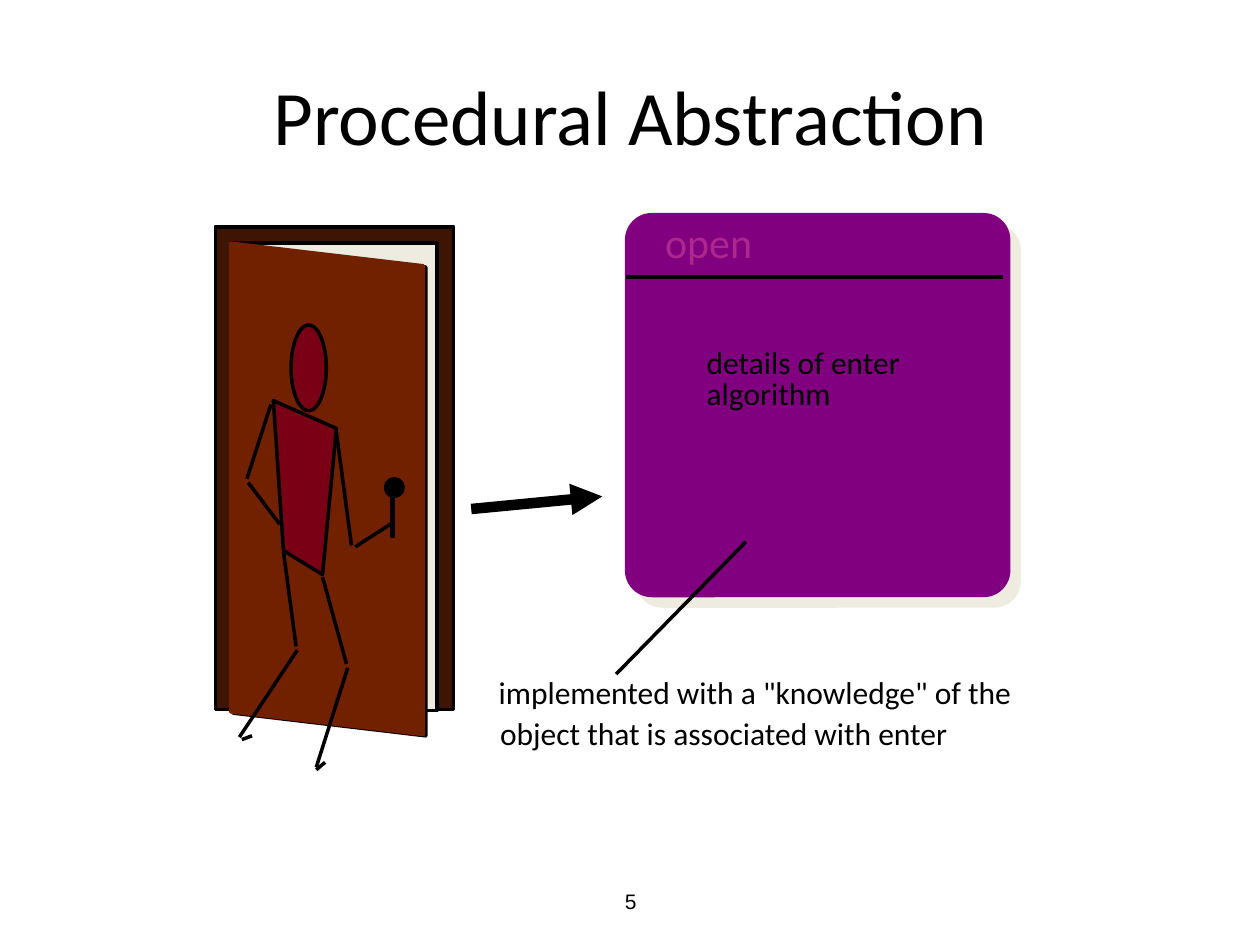
from lxml import etree
from pptx import Presentation
from pptx.dml.color import RGBColor
from pptx.enum.shapes import MSO_CONNECTOR, MSO_SHAPE
from pptx.enum.text import MSO_ANCHOR, PP_ALIGN
from pptx.oxml import parse_xml
from pptx.oxml.ns import nsdecls, qn
from pptx.util import Inches, Pt

RECT, OVAL, ROUNDED = MSO_SHAPE.RECTANGLE, MSO_SHAPE.OVAL, MSO_SHAPE.ROUNDED_RECTANGLE
STRAIGHT = MSO_CONNECTOR.STRAIGHT
CENTER, LEFT, MIDDLE = PP_ALIGN.CENTER, PP_ALIGN.LEFT, MSO_ANCHOR.MIDDLE

COLORS = {
    "black": "000000", "frame": "3E1403", "opening": "EEECE1", "door": "712000",
    "person": "790015", "card": "800080", "heading": "AD278D",
}
RGB = {name: RGBColor.from_string(value) for name, value in COLORS.items()}


def paint(sp, fill=None, line=None):
    sp.shadow.inherit = False
    if fill:
        sp.fill.solid()
        sp.fill.fore_color.rgb = RGB[fill]
    else:
        sp.fill.background()
    if line:
        sp.line.color.rgb = RGB[line]
        sp.line.width = Pt(2)
    else:
        sp.line.fill.background()


def add_line(x1, y1, x2, y2, width=2):
    line = s.shapes.add_connector(STRAIGHT, Inches(x1), Inches(y1), Inches(x2), Inches(y2))
    line.line.color.rgb = RGB["black"]
    line.line.width = Pt(width)
    etree.SubElement(line._element.spPr, qn("a:effectLst"))
    return line


prs = Presentation()
prs.slide_width, prs.slide_height = Inches(10), Inches(7.5)
s = prs.slides.add_slide(prs.slide_layouts[5])

# Title
title = s.shapes.title
title.left, title.top, title.width, title.height = map(Inches, (2.07, 0.51, 5.87, 0.8))
tf = title.text_frame
tf.text = "Procedural Abstraction"
tf.word_wrap = False
tf.vertical_anchor = MIDDLE
tf.margin_left = tf.margin_right = Inches(0.07)
tf.margin_top = tf.margin_bottom = Inches(0.03)
p = tf.paragraphs[0]
p.alignment = CENTER
p.font.size, p.font.name = Pt(44), "Calibri"
p.font.color.rgb = RGB["black"]

# Arrow from the door to the procedure
arrow = add_line(3.74, 4.04, 4.78, 3.94, 6)
etree.SubElement(arrow.line._get_or_add_ln(), qn("a:tailEnd"), type="triangle")

# Door frame, opening, door, handle and the person
DOOR = [(0, 0), (1.53, 0.18), (1.53, 3.9), (0, 3.72)]
TORSO = [(2.17, 3.18), (2.67, 3.4), (2.56, 4.56), (2.25, 4.37)]
for kind, box, fill in [
    (RECT, (1.71, 1.8, 1.89, 3.83), "frame"),
    (RECT, (1.83, 1.93, 1.64, 3.71), "opening"),
    ("door", (1.85, 1.94), None),
    ("door", (1.83, 1.93), "door"),
    (OVAL, (3.06, 3.8, 0.14, 0.14), "black"),
    (RECT, (3.11, 3.93, 0.01, 0.33), "black"),
    (OVAL, (2.31, 2.58, 0.28, 0.68), "person"),
    ("torso", (0, 0), "person"),
]:
    if kind in ("door", "torso"):
        points = [(Inches(box[0] + x), Inches(box[1] + y))
                  for x, y in (DOOR if kind == "door" else TORSO)]
        builder = s.shapes.build_freeform(*points[0])
        builder.add_line_segments(points[1:], close=True)
        sp = builder.convert_to_shape()
    else:
        sp = s.shapes.add_shape(kind, *map(Inches, box))
    paint(sp, fill, "door" if fill == "door" else "black")

# Arms and legs
for limb in [
    (2.67, 3.43, 2.79, 4.33), (2.82, 4.34, 3.1, 4.16),
    (2.15, 3.21, 1.96, 3.8), (1.97, 3.83, 2.22, 4.16),
    (2.56, 4.58, 2.75, 5.27), (2.76, 5.3, 2.51, 6.09), (2.51, 6.11, 2.58, 6.05),
    (2.25, 4.38, 2.35, 5.13), (2.36, 5.16, 1.9, 5.85), (1.92, 5.87, 2, 5.84),
]:
    add_line(*limb)

# Procedure card with its shadow and heading rule
card = s.shapes.add_shape(ROUNDED, *map(Inches, (4.96, 1.69, 3.06, 3.05)))
card.adjustments[0] = 0.07
paint(card, "card")
card._element.spPr.find(qn("a:effectLst")).append(parse_xml(
    f'<a:outerShdw {nsdecls("a")} dist="{Pt(8.5)}" dir="2700000" algn="ctr" rotWithShape="0">'
    f'<a:srgbClr val="{COLORS["opening"]}"/></a:outerShdw>'))
add_line(4.97, 2.2, 7.96, 2.2)

# Callout line
add_line(5.92, 4.3, 4.89, 5.35)

# Labels and page number
for text, box, size, font, color, align in [
    ("open", (5.18, 1.67, 0.9, 0.5), 24, "Calibri", "heading", LEFT),
    ("details of enter", (5.51, 2.67, 1.81, 0.4), 18, "Calibri", "black", LEFT),
    ("algorithm", (5.51, 2.92, 1.19, 0.4), 18, "Calibri", "black", LEFT),
    ('implemented with a "knowledge" of the', (3.86, 5.29, 4.44, 0.4), 18, "Calibri", "black", LEFT),
    ("object that is associated with enter", (3.87, 5.62, 3.79, 0.4), 18, "Calibri", "black", LEFT),
    ("5", (3.42, 6.95, 3.17, 0.4), 12, "Arial", "black", CENTER),
]:
    tf = s.shapes.add_textbox(*map(Inches, box)).text_frame
    tf.text = text
    tf.word_wrap = align == CENTER
    if align == CENTER:
        tf.vertical_anchor = MIDDLE
    p = tf.paragraphs[0]
    p.alignment = align
    p.font.size, p.font.name = Pt(size), font
    p.font.color.rgb = RGB[color]

prs.save("out.pptx")
